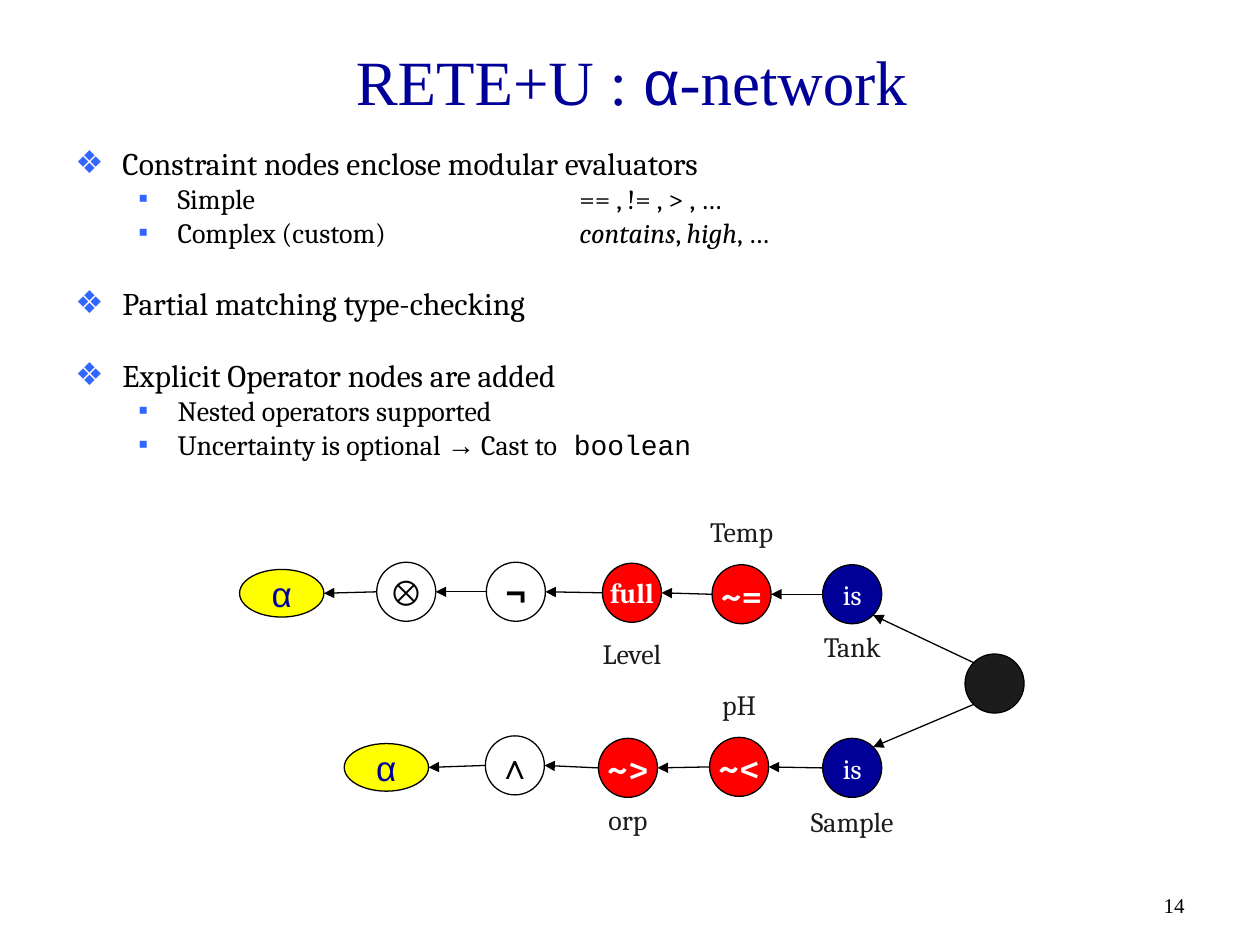
from math import sqrt

from lxml.etree import SubElement
from pptx import Presentation
from pptx.dml.color import RGBColor
from pptx.enum.shapes import MSO_CONNECTOR, MSO_SHAPE
from pptx.enum.text import MSO_ANCHOR, MSO_AUTO_SIZE, PP_ALIGN
from pptx.oxml.ns import qn
from pptx.util import Cm, Pt

NAVY = RGBColor(0x00, 0x00, 0x99)
BLUE = RGBColor(0x33, 0x66, 0xFF)
RED = RGBColor(0xFF, 0x00, 0x00)
YELLOW = RGBColor(0xFF, 0xFF, 0x00)
WHITE = RGBColor(0xFF, 0xFF, 0xFF)
BLACK = RGBColor(0x00, 0x00, 0x00)
DARK = RGBColor(0x1C, 0x1C, 0x1C)

NODE = 1.19
OVAL = (1.7, 0.96)
TAB = 10.16

# Level, extra space before in points, runs as (text, format)
BULLETS = [
    (0, 0, [("Constraint nodes enclose modular evaluators", {})]),
    (1, 0, [("Simple\t== , != , > , …", {})]),
    (1, 0, [("Complex (custom)\t", {}), ("contains", {"italic": True}),
            (", ", {}), ("high", {"italic": True}), (", …", {})]),
    (0, 19.4, [("Partial matching type-checking", {})]),
    (0, 19.4, [("Explicit Operator nodes are added", {})]),
    (1, 0, [("Nested operators supported", {})]),
    (1, 0, [("Uncertainty is optional ", {}), ("→", {"font": "Arial"}),
            (" Cast to", {}), (" boolean", {"font": "Courier New"})]),
]

# Level: text size, space before, left margin, hanging indent, bullet
LEVELS = [(18, 4.5, 0.95, 0.95, "❖"), (16, 4, 2.06, 0.79, "▪")]

# Kind of node: fill, text format
KINDS = {
    "type": (NAVY, {"size": 16, "color": WHITE}),
    "test": (RED, {"size": 20, "color": WHITE, "bold": True}),
    "word": (RED, {"size": 16, "color": WHITE, "bold": True}),
    "logic": (WHITE, {"size": 20, "font": "Arial", "bold": True}),
    "alpha": (YELLOW, {"size": 20, "font": "Arial", "color": NAVY}),
}

# Kind, text, centre x, centre y, label, top of the label
CHAINS = [
    [("type", "is", 17.18, 11.98, "Tank", 12.57),
     ("test", "~=", 14.95, 11.98, "Temp", 10.24),
     ("word", "full", 12.74, 11.95, "Level", 12.7),
     ("logic", "¬", 10.4, 11.93, None, None),
     ("logic", "⊗", 8.19, 11.93, None, None),
     ("alpha", "α", 5.68, 11.96, None, None)],
    [("type", "is", 17.18, 15.48, "Sample", 16.1),
     ("test", "~<", 14.9, 15.46, "pH", 13.74),
     ("test", "~>", 12.66, 15.48, "orp", 16.05),
     ("logic", "∧", 10.38, 15.43, None, None),
     ("alpha", "α", 7.79, 15.47, None, None)],
]
ROOT = (20.05, 13.78)


def write(para, text, size=16, font="Cambria", color=BLACK, bold=False,
          italic=False):
    run = para.add_run()
    run.text = text
    run.font.size = Pt(size)
    run.font.name = font
    run.font.color.rgb = color
    run.font.bold = bold
    run.font.italic = italic


def add_box(slide, x, y, w, h, align=PP_ALIGN.LEFT, anchor=MSO_ANCHOR.TOP):
    frame = slide.shapes.add_textbox(Cm(x), Cm(y), Cm(w), Cm(h)).text_frame
    frame.word_wrap = True
    frame.vertical_anchor = anchor
    frame.paragraphs[0].alignment = align
    return frame


def add_title(slide):
    title = slide.shapes.title
    title.left, title.top, title.width, title.height = (
        Cm(1.3), Cm(0.71), Cm(22.86), Cm(1.8))
    frame = title.text_frame
    frame.auto_size = MSO_AUTO_SIZE.NONE
    frame.vertical_anchor = MSO_ANCHOR.MIDDLE
    para = frame.paragraphs[0]
    para.alignment = PP_ALIGN.CENTER
    for text, font in [("RETE+U : ", "Times New Roman"), ("α", "Arial"),
                       ("-network", "Times New Roman")]:
        write(para, text, size=36, font=font, color=NAVY)


def set_bullet(para, sign, left, hang):
    """Give the paragraph a hanging bullet and one tab stop."""
    props = para._p.get_or_add_pPr()
    props.set("marL", str(Cm(left)))
    props.set("indent", str(-Cm(hang)))
    color = SubElement(props, qn("a:buClr"))
    SubElement(color, qn("a:srgbClr"), val=str(BLUE))
    SubElement(props, qn("a:buFont"), typeface="Arial")
    SubElement(props, qn("a:buChar"), char=sign)
    tabs = SubElement(props, qn("a:tabLst"))
    SubElement(tabs, qn("a:tab"), pos=str(Cm(TAB)), algn="l")


def add_bullets(slide):
    frame = add_box(slide, 1.27, 2.92, 22.86, 6.73)
    for i, (level, extra, runs) in enumerate(BULLETS):
        para = frame.add_paragraph() if i else frame.paragraphs[0]
        size, gap, left, hang, sign = LEVELS[level]
        para.level = level
        para.line_spacing = 0.8
        para.space_before = Pt(gap + extra)
        set_bullet(para, sign, left, hang)
        for text, form in runs:
            write(para, text, size=size, **form)


def add_node(slide, x, y, fill, w=NODE, h=NODE, text=None, form=None):
    """Draw an ellipse around the centre x, y."""
    node = slide.shapes.add_shape(MSO_SHAPE.OVAL, Cm(x - w / 2),
                                  Cm(y - h / 2), Cm(w), Cm(h))
    node.shadow.inherit = False
    node.fill.solid()
    node.fill.fore_color.rgb = fill
    node.line.color.rgb = BLACK
    node.line.width = Pt(0.75)
    if text:
        frame = node.text_frame
        frame.word_wrap = False
        frame.vertical_anchor = MSO_ANCHOR.MIDDLE
        frame.paragraphs[0].alignment = PP_ALIGN.CENTER
        write(frame.paragraphs[0], text, **form)


def add_arrow(slide, x1, y1, x2, y2):
    arrow = slide.shapes.add_connector(MSO_CONNECTOR.STRAIGHT, Cm(x1), Cm(y1),
                                       Cm(x2), Cm(y2))
    arrow.line.color.rgb = BLACK
    arrow.line.width = Pt(0.75)
    SubElement(arrow.line._get_or_add_ln(), qn("a:tailEnd"), type="triangle")
    SubElement(arrow._element.spPr, qn("a:effectLst"))


def add_chain(slide, chain):
    """Draw one row of nodes, leading left from the root."""
    last = None
    for kind, text, x, y, label, top in chain:
        fill, form = KINDS[kind]
        w, h = OVAL if kind == "alpha" else (NODE, NODE)
        add_node(slide, x, y, fill, w, h, text, form)
        if label:
            frame = add_box(slide, x - 1.9, top, 3.8, 0.94, PP_ALIGN.CENTER)
            write(frame.paragraphs[0], label, color=DARK)
        if last:
            add_arrow(slide, last[0] - NODE / 2, last[1], x + w / 2, y)
        else:
            edge = NODE / 2 / sqrt(2)
            side = 1 if y > ROOT[1] else -1
            add_arrow(slide, ROOT[0] - edge, ROOT[1] + side * edge,
                      x + edge, y - side * edge)
        last = x, y


def main():
    deck = Presentation()
    deck.slide_width, deck.slide_height = Cm(25.4), Cm(19.05)
    slide = deck.slides.add_slide(deck.slide_layouts[5])
    add_title(slide)
    add_bullets(slide)
    add_node(slide, *ROOT, DARK)
    for chain in CHAINS:
        add_chain(slide, chain)
    number = add_box(slide, 18.21, 17.35, 5.92, 1.27, PP_ALIGN.RIGHT,
                     MSO_ANCHOR.BOTTOM)
    write(number.paragraphs[0], "14", size=12, font="Times New Roman")
    deck.save("out.pptx")


if __name__ == "__main__":
    main()
